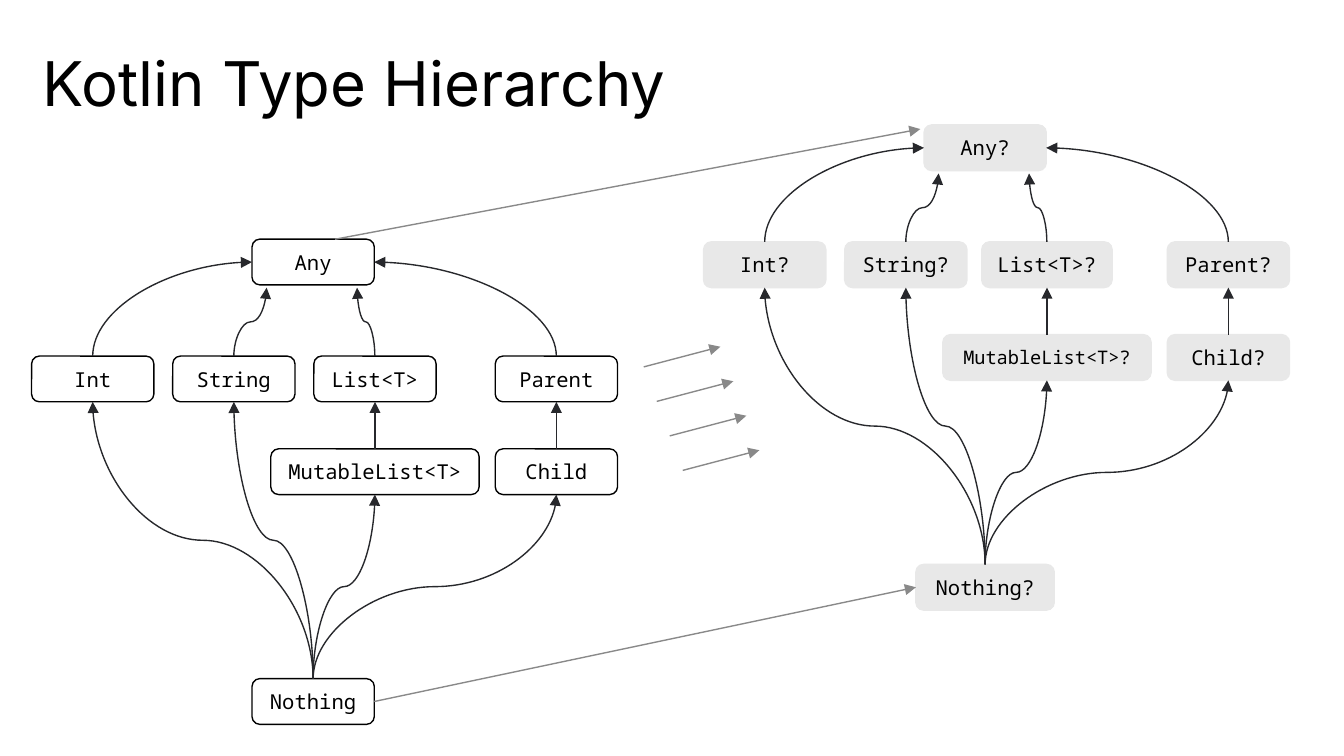
from lxml.etree import SubElement
from pptx import Presentation
from pptx.dml.color import RGBColor
from pptx.enum.shapes import MSO_CONNECTOR as CONN, MSO_SHAPE as SHAPE
from pptx.enum.text import MSO_ANCHOR as ANCHOR, PP_ALIGN as ALIGN
from pptx.oxml.ns import qn
from pptx.util import Inches, Pt

BLACK = RGBColor(0x00, 0x00, 0x00)
WHITE = RGBColor(0xFF, 0xFF, 0xFF)
INK = RGBColor(0x27, 0x28, 0x2C)
GREY = RGBColor(0x89, 0x89, 0x89)
PALE = RGBColor(0xE8, 0xE8, 0xE8)

SLIDE_W = Inches(10)
SLIDE_H = SLIDE_W * 9 // 16
COLS = {"int": 0.69, "string": 1.74, "root": 2.33, "list": 2.79, "parent": 4.14}
ROWS = {"any": 1.78, "types": 2.65, "subtypes": 3.34, "nothing": 5.05}
BOX_W, WIDE_W, BOX_H = 0.91, 1.55, 0.34
NULLABLE_SHIFT = (5, -0.85)

NODES = [
    ("Int", "int", "types", BOX_W),
    ("Any", "root", "any", BOX_W),
    ("String", "string", "types", BOX_W),
    ("List<T>", "list", "types", BOX_W),
    ("Parent", "parent", "types", BOX_W),
    ("MutableList<T>", "list", "subtypes", WIDE_W),
    ("Child", "parent", "subtypes", BOX_W),
    ("Nothing", "root", "nothing", BOX_W),
]

TOP, LEFT, BOTTOM, RIGHT = (0.5, 0), (0, 0.5), (0.5, 1), (1, 0.5)
UNDER_LEFT, UNDER_RIGHT = (0.12, 1.06), (0.86, 1.06)
EDGES = [
    ("Int", "Any", LEFT),
    ("String", "Any", UNDER_LEFT),
    ("List<T>", "Any", UNDER_RIGHT),
    ("Parent", "Any", RIGHT),
    ("MutableList<T>", "List<T>", BOTTOM),
    ("Child", "Parent", BOTTOM),
    ("Nothing", "Int", BOTTOM),
    ("Nothing", "String", BOTTOM),
    ("Nothing", "MutableList<T>", BOTTOM),
    ("Nothing", "Child", BOTTOM),
]


def set_all(obj, values):
    for name, value in values.items():
        setattr(obj, name, value)


def write(sp, text, font, size, frame, para):
    tf = sp.text_frame
    margins = {"margin_top": Inches(0.1), "margin_bottom": Inches(0.1)}
    set_all(tf, {"word_wrap": True, **margins, **frame})
    p = tf.paragraphs[0]
    set_all(p, para)
    r = p.add_run()
    r.text = text
    set_all(r.font, {"name": font, "size": Pt(size)})
    r.font.color.rgb = BLACK


def add_title(s, text):
    sp = s.shapes.add_textbox(int(SLIDE_W * 0.032), int(SLIDE_H * 0.057),
                              int(SLIDE_W * 0.93), int(SLIDE_H * 0.09))
    frame = {"margin_left": 0, "margin_right": 0, "vertical_anchor": ANCHOR.TOP}
    write(sp, text, "Inter", 33, frame, {"line_spacing": 0.85})


def add_node(s, text, center, top, width, fill, line, size):
    sp = s.shapes.add_shape(SHAPE.ROUNDED_RECTANGLE, Inches(center - width / 2),
                            Inches(top), Inches(width), Inches(BOX_H))
    sp.adjustments[0] = 0.17
    sp.shadow.inherit = False
    sp.fill.solid()
    sp.fill.fore_color.rgb = fill
    sp.line.color.rgb = line
    sp.line.width = Pt(0.75)
    write(sp, text, "Noto Sans Mono", size,
          {"vertical_anchor": ANCHOR.MIDDLE}, {"alignment": ALIGN.CENTER})
    return sp


def add_arrow(s, kind, start, end, color):
    c = s.shapes.add_connector(kind, *(int(v) for v in (*start, *end)))
    c.line.color.rgb = color
    c.line.width = Pt(0.75)
    SubElement(c.line._get_or_add_ln(), qn("a:tailEnd"), type="triangle")
    SubElement(c._element.spPr, qn("a:effectLst"))
    return c


def add_curve(s, start, end, preset):
    (x1, y1), (x2, y2) = start, end
    mid_x, mid_y = (x1 + x2) / 2, (y1 + y2) / 2
    half_w, half_h = abs(y2 - y1) / 2, abs(x2 - x1) / 2
    c = add_arrow(s, CONN.CURVE, (mid_x - half_w, mid_y - half_h),
                  (mid_x + half_w, mid_y + half_h), INK)
    spPr = c._element.spPr
    spPr.find(qn("a:prstGeom")).set("prst", preset)
    xfrm = spPr.find(qn("a:xfrm"))
    turn = 270 if x2 >= x1 else 90
    xfrm.set("rot", str(turn * 60000))
    if turn == 90:
        xfrm.set("flipH", "1")


def point_on(sp, share):
    return sp.left + round(sp.width * share[0]), sp.top + round(sp.height * share[1])


def add_tree(s, fill, line, shift=(0, 0), suffix="", widths={}, sizes={}):
    nodes = {}
    for name, col, row, width in NODES:
        nodes[name] = add_node(s, name + suffix, COLS[col] + shift[0],
                               ROWS[row] + shift[1], widths.get(name, width),
                               fill, line, sizes.get(name, 11))
    for child, parent, side in EDGES:
        preset = "curvedConnector2" if side in (LEFT, RIGHT) else "curvedConnector3"
        add_curve(s, point_on(nodes[child], TOP), point_on(nodes[parent], side), preset)
    return nodes


def add_links(s, plain, nullable):
    low, high = plain["Nothing"], nullable["Nothing"]
    c = add_arrow(s, CONN.STRAIGHT, point_on(low, RIGHT), point_on(high, LEFT), GREY)
    c.begin_connect(low, 3)
    c.end_connect(high, 1)
    add_arrow(s, CONN.STRAIGHT, point_on(plain["Any"], (0.68, 0)),
              point_on(nullable["Any"], (-0.03, 0.09)), GREY)
    for i in range(4):
        x, y = 4.79 + 0.29 * i / 3, 2.73 + 0.77 * i / 3
        add_arrow(s, CONN.STRAIGHT, (Inches(x), Inches(y)),
                  (Inches(x + 0.57), Inches(y - 0.15)), GREY)


def main():
    prs = Presentation()
    set_all(prs, {"slide_width": SLIDE_W, "slide_height": SLIDE_H})
    s = prs.slides.add_slide(prs.slide_layouts[6])
    add_title(s, "Kotlin Type Hierarchy")
    plain = add_tree(s, WHITE, BLACK)
    nullable = add_tree(s, PALE, PALE, NULLABLE_SHIFT, "?",
                        {"List<T>": 0.97, "Nothing": 1.03}, {"MutableList<T>": 10})
    add_links(s, plain, nullable)
    prs.save("out.pptx")


if __name__ == "__main__":
    main()
